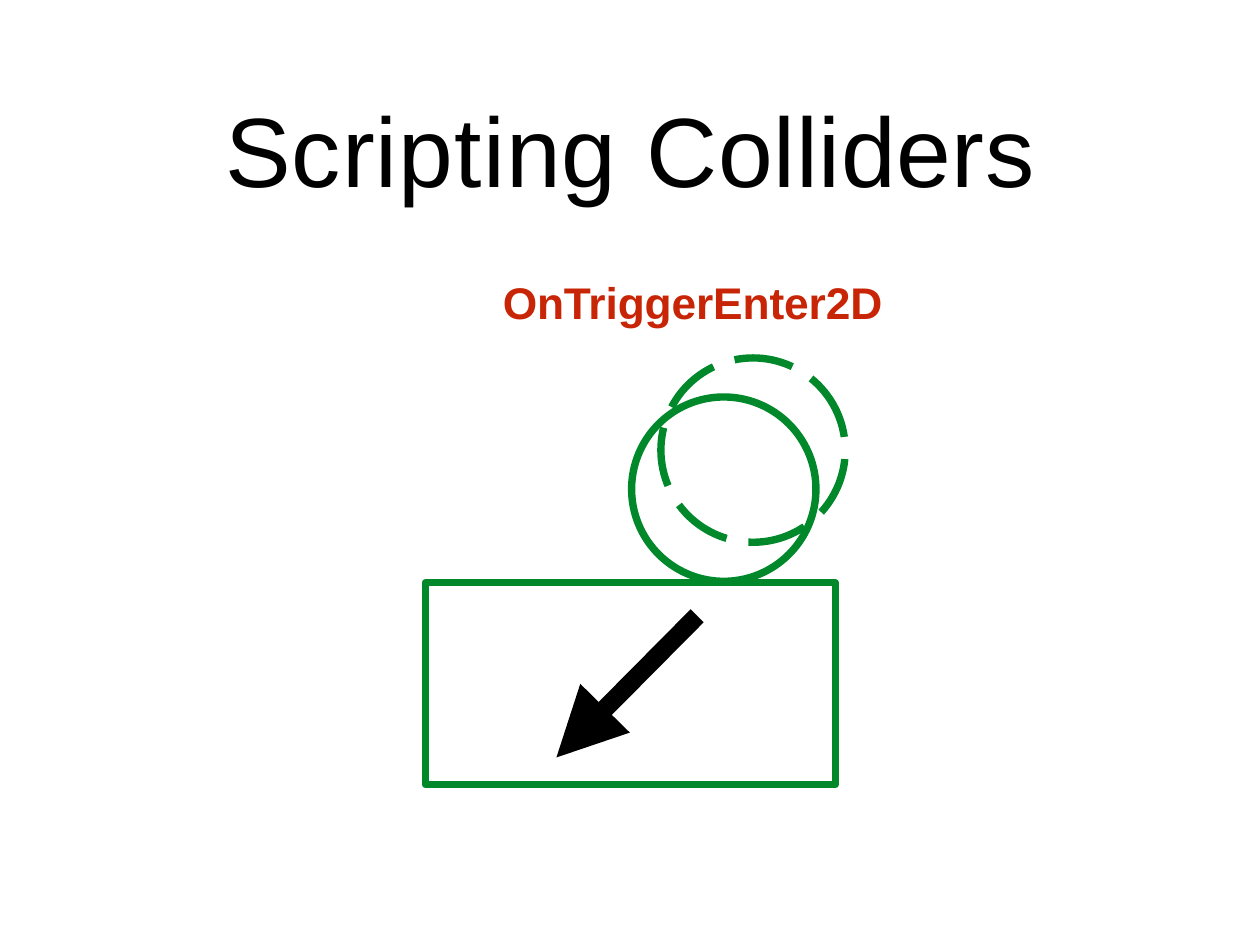
import math
from dataclasses import dataclass

import pptx
import pptx.dml.color
import pptx.enum.dml
import pptx.enum.shapes
import pptx.enum.text
import pptx.oxml
import pptx.oxml.ns
import pptx.shapes.autoshape
import pptx.slide
import pptx.text.text
import pptx.util

Point = tuple[float, float]


@dataclass(frozen=True)
class Theme:
    font: str = "Arial"
    ink: str = "000000"
    collider: str = "00882B"
    event: str = "C82506"
    title_size: float = 80
    label_size: float = 36
    outline: float = 6
    shaft: float = 15


@dataclass(frozen=True)
class Box:
    left: float
    top: float
    width: float
    height: float

    def lengths(self) -> list[pptx.util.Pt]:
        return [pptx.util.Pt(v) for v in (self.left, self.top, self.width, self.height)]


@dataclass(frozen=True)
class Span:
    text: str
    spacing: float


@dataclass(frozen=True)
class Collider:
    preset: pptx.enum.shapes.MSO_SHAPE
    box: Box


THEME = Theme()
DIAMETER = 149.8
TITLE_BOX = Box(80, 72, 864, 94.3)
TITLE_INDENT = 103
TITLE = [Span("Scripting ", 0.9), Span("Colliders", 0.5)]
LABEL_BOX = Box(408.6, 223.9, 311.8, 43.2)
LABEL = [Span("OnTriggerEnter2D", -0.1)]
COLLIDERS = [
    Collider(pptx.enum.shapes.MSO_SHAPE.RECTANGLE, Box(345.6, 473.6, 333.2, 164)),
    Collider(pptx.enum.shapes.MSO_SHAPE.OVAL, Box(513.3, 322.6, DIAMETER, DIAMETER)),
]
EARLIER_CENTER: Point = (612, 365.8)
ARROW_START: Point = (566.6, 500.4)
ARROW_END: Point = (486.7, 581)
ARROW_HEAD: list[Point] = [(471.6, 555.8), (452.2, 615.6), (511.9, 595.4)]


def color(value: str) -> pptx.dml.color.RGBColor:
    return pptx.dml.color.RGBColor.from_string(value)


def write(frame: pptx.text.text.TextFrame, spans: list[Span], size: float,
          ink: str, bold: bool, indent: float = 0) -> None:
    frame.margin_left = pptx.util.Pt(indent)
    frame.margin_right = frame.margin_top = frame.margin_bottom = 0
    frame.word_wrap = True
    frame.auto_size = pptx.enum.text.MSO_AUTO_SIZE.NONE
    frame.vertical_anchor = pptx.enum.text.MSO_ANCHOR.TOP
    para = frame.paragraphs[0]
    para.alignment = pptx.enum.text.PP_ALIGN.LEFT
    para.font.name = THEME.font
    para.font.size = pptx.util.Pt(size)
    para.font.bold = bold
    para.font.color.rgb = color(ink)
    for span in spans:
        run = para.add_run()
        run.text = span.text
        run._r.get_or_add_rPr().set("spc", str(round(span.spacing * 100)))


def outline(shape: pptx.shapes.autoshape.Shape, dashed: bool = False) -> None:
    shape.shadow.inherit = False
    shape.fill.background()
    shape.line.color.rgb = color(THEME.collider)
    shape.line.width = pptx.util.Pt(THEME.outline)
    if dashed:
        shape.line.dash_style = pptx.enum.dml.MSO_LINE.LONG_DASH
    line = shape._element.spPr.find(pptx.oxml.ns.qn("a:ln"))
    line.append(pptx.oxml.parse_xml(f"<a:round {pptx.oxml.ns.nsdecls('a')}/>"))


def polygon(page: pptx.slide.Slide, points: list[Point]) -> pptx.shapes.autoshape.Shape:
    corners = [(pptx.util.Pt(x), pptx.util.Pt(y)) for x, y in points]
    builder = page.shapes.build_freeform(*corners[0])
    builder.add_line_segments(corners[1:], close=True)
    return builder.convert_to_shape()


def circle_points(center: Point, radius: float, start: int, step: int) -> list[Point]:
    angles = [math.radians(a) for a in range(start, start + 360, step)]
    return [(center[0] + radius * math.cos(a), center[1] + radius * math.sin(a)) for a in angles]


def draw_arrow(page: pptx.slide.Slide) -> None:
    ends = [pptx.util.Pt(v) for v in (*ARROW_START, *ARROW_END)]
    shaft = page.shapes.add_connector(pptx.enum.shapes.MSO_CONNECTOR.STRAIGHT, *ends)
    shaft.line.color.rgb = color(THEME.ink)
    shaft.line.width = pptx.util.Pt(THEME.shaft)
    effects = pptx.oxml.parse_xml(f"<a:effectLst {pptx.oxml.ns.nsdecls('a')}/>")
    shaft._element.spPr.append(effects)
    head = polygon(page, ARROW_HEAD)
    head.shadow.inherit = False
    head.fill.solid()
    head.fill.fore_color.rgb = color(THEME.ink)
    head.line.fill.background()


def main() -> None:
    """Build the slide on scripting colliders."""
    deck = pptx.Presentation()
    deck.slide_width, deck.slide_height = pptx.util.Pt(1024), pptx.util.Pt(768)
    page = deck.slides.add_slide(deck.slide_layouts.get_by_name("Title Only"))

    title = page.shapes.title
    title.left, title.top, title.width, title.height = TITLE_BOX.lengths()
    write(title.text_frame, TITLE, THEME.title_size, THEME.ink, False, TITLE_INDENT)

    for collider in COLLIDERS:
        outline(page.shapes.add_shape(collider.preset, *collider.box.lengths()))
    draw_arrow(page)
    earlier = circle_points(EARLIER_CENTER, DIAMETER / 2, start=-45, step=3)
    outline(polygon(page, earlier), dashed=True)

    label = page.shapes.add_textbox(*LABEL_BOX.lengths())
    write(label.text_frame, LABEL, THEME.label_size, THEME.event, True)
    deck.save("out.pptx")


if __name__ == "__main__":
    main()
